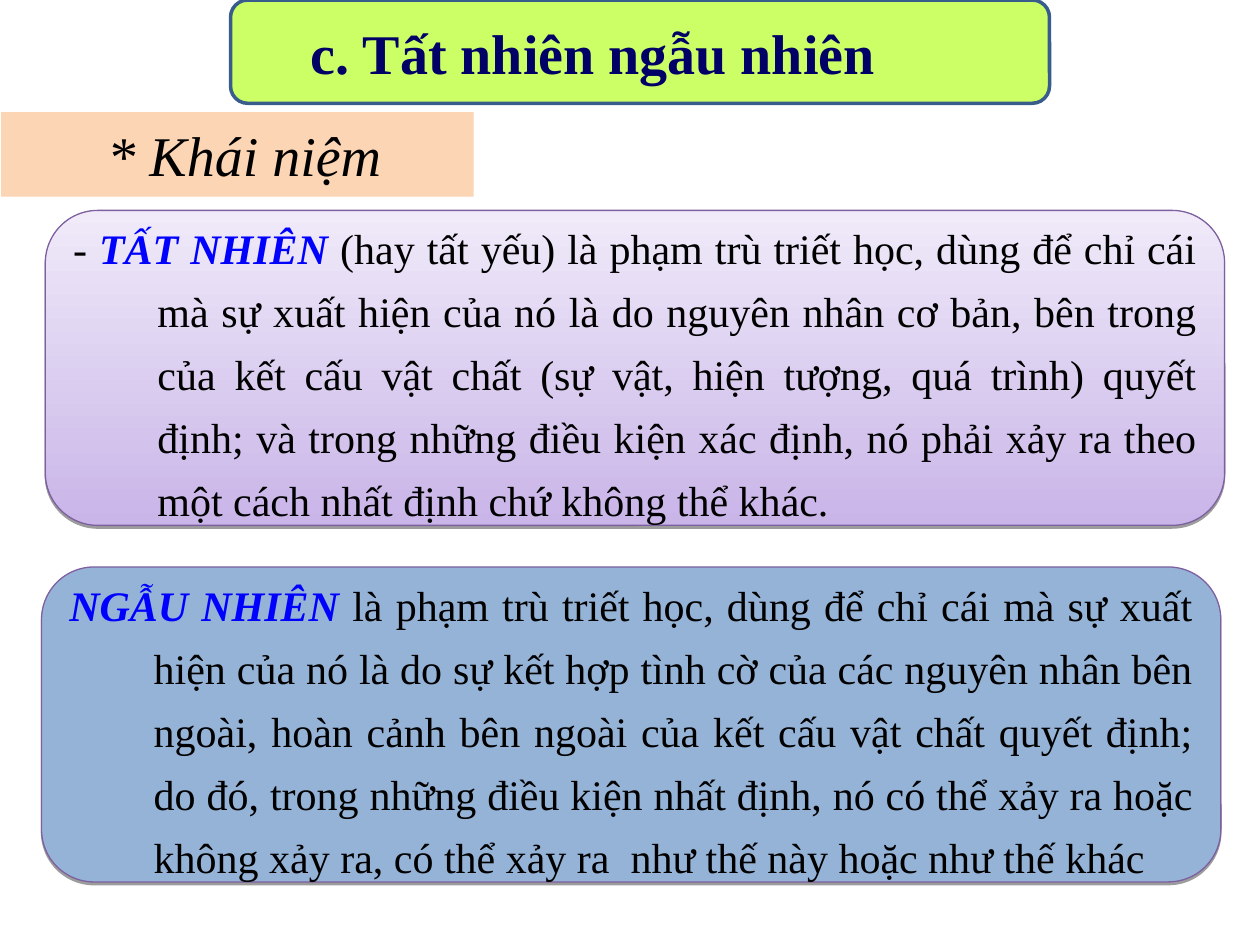
from lxml.etree import SubElement
from pptx import Presentation
from pptx.dml.color import RGBColor
from pptx.enum.shapes import MSO_SHAPE
from pptx.enum.text import MSO_ANCHOR, MSO_AUTO_SIZE, PP_ALIGN
from pptx.oxml.ns import qn
from pptx.util import Inches, Pt

FONT = "Times New Roman"
BLACK = "000000"

NECESSITY = (
    " (hay tất yếu) là phạm trù triết học, dùng để chỉ cái mà sự xuất hiện của nó "
    "là do nguyên nhân cơ bản, bên trong của kết cấu vật chất (sự vật, hiện tượng, "
    "quá trình) quyết định; và trong những điều kiện xác định, nó phải xảy ra theo "
    "một cách nhất định chứ không thể khác."
)
CHANCE = (
    " là phạm trù triết học, dùng để chỉ cái mà sự xuất hiện của nó là do sự kết hợp "
    "tình cờ của các nguyên nhân bên ngoài, hoàn cảnh bên ngoài của kết cấu vật chất "
    "quyết định; do đó, trong những điều kiện nhất định, nó có thể xảy ra hoặc không "
    "xảy ra, có thể xảy ra  như thế này hoặc như thế khác"
)


def color(hex_string):
    return RGBColor.from_string(hex_string)


def fill_shape(shape, *colors):
    """Fill with one colour, or with a gradient from bottom to top."""
    if len(colors) == 1:
        shape.fill.solid()
        shape.fill.fore_color.rgb = color(colors[0])
        return
    shape.fill.gradient()
    shape.fill.gradient_angle = 90
    for stop, stop_color in zip(shape.fill.gradient_stops, colors):
        stop.color.rgb = color(stop_color)


def format_font(font, size, hex_string):
    font.name = FONT
    font.size = Pt(size)
    font.color.rgb = color(hex_string)


def add_rounded_box(slide, left, top, width, height, fills, line, line_width):
    shape = slide.shapes.add_shape(
        MSO_SHAPE.ROUNDED_RECTANGLE,
        Inches(left), Inches(top), Inches(width), Inches(height))
    fill_shape(shape, *fills)
    shape.line.color.rgb = color(line)
    shape.line.width = Pt(line_width)
    shape.shadow.inherit = False
    shape.text_frame.word_wrap = True
    shape.text_frame.vertical_anchor = MSO_ANCHOR.MIDDLE
    return shape


def set_indent(paragraph, left, first_line=0):
    properties = paragraph._p.get_or_add_pPr()
    properties.set("marL", str(Inches(left)))
    properties.set("indent", str(Inches(first_line)))


def add_drop_shadow(shape):
    effects = shape._element.spPr.find(qn("a:effectLst"))
    shadow = SubElement(effects, qn("a:outerShdw"), blurRad="0",
                        dist=str(Pt(1.6)), dir="5400000", rotWithShape="0")
    shadow_color = SubElement(shadow, qn("a:srgbClr"), val=BLACK)
    SubElement(shadow_color, qn("a:alpha"), val="38000")


def add_heading(slide, text):
    shape = add_rounded_box(slide, 1.83, 0, 6.5, 0.82, ["CCFF66"], "385D8A", 2)
    paragraph = shape.text_frame.paragraphs[0]
    paragraph.text = text
    paragraph.alignment = PP_ALIGN.LEFT
    set_indent(paragraph, 0.5)
    format_font(paragraph.font, 32, "000066")
    paragraph.font.bold = True


def format_title(slide, text):
    title = slide.shapes.title
    title.left, title.top = Inches(0.01), Inches(0.89)
    title.width, title.height = Inches(3.75), Inches(0.67)
    fill_shape(title, "FCD5B5")
    title.text_frame.auto_size = MSO_AUTO_SIZE.NONE
    title.text_frame.vertical_anchor = MSO_ANCHOR.MIDDLE
    paragraph = title.text_frame.paragraphs[0]
    paragraph.text = text
    paragraph.alignment = PP_ALIGN.CENTER
    format_font(paragraph.font, 32, BLACK)
    paragraph.font.italic = True


def add_definition(slide, left, top, fills, prefix, term, text):
    shape = add_rounded_box(slide, left, top, 9.36, 2.5, fills, "7D60A0", 0.75)
    add_drop_shadow(shape)
    paragraph = shape.text_frame.paragraphs[0]
    paragraph.alignment = PP_ALIGN.JUSTIFY
    paragraph.line_spacing = 1.25
    set_indent(paragraph, 0.67, -0.67)
    for part in filter(None, (prefix, term, text)):
        run = paragraph.add_run()
        run.text = part
        is_term = part == term
        format_font(run.font, 24, "0000FF" if is_term else BLACK)
        run.font.bold = run.font.italic = is_term


def main():
    presentation = Presentation()
    presentation.slide_width = Inches(10)
    presentation.slide_height = Inches(7.5)
    slide = presentation.slides.add_slide(presentation.slide_layouts[5])

    # Section heading and slide title
    add_heading(slide, "c. Tất nhiên ngẫu nhiên")
    format_title(slide, " * Khái niệm")

    # Definitions of necessity and chance
    add_definition(slide, 0.36, 1.67, ["C9B5E8", "F0EAF9"],
                   "- ", "TẤT NHIÊN", NECESSITY)
    add_definition(slide, 0.33, 4.5, ["95B3D7"], "", "NGẪU NHIÊN", CHANCE)

    presentation.save("out.pptx")


if __name__ == "__main__":
    main()
